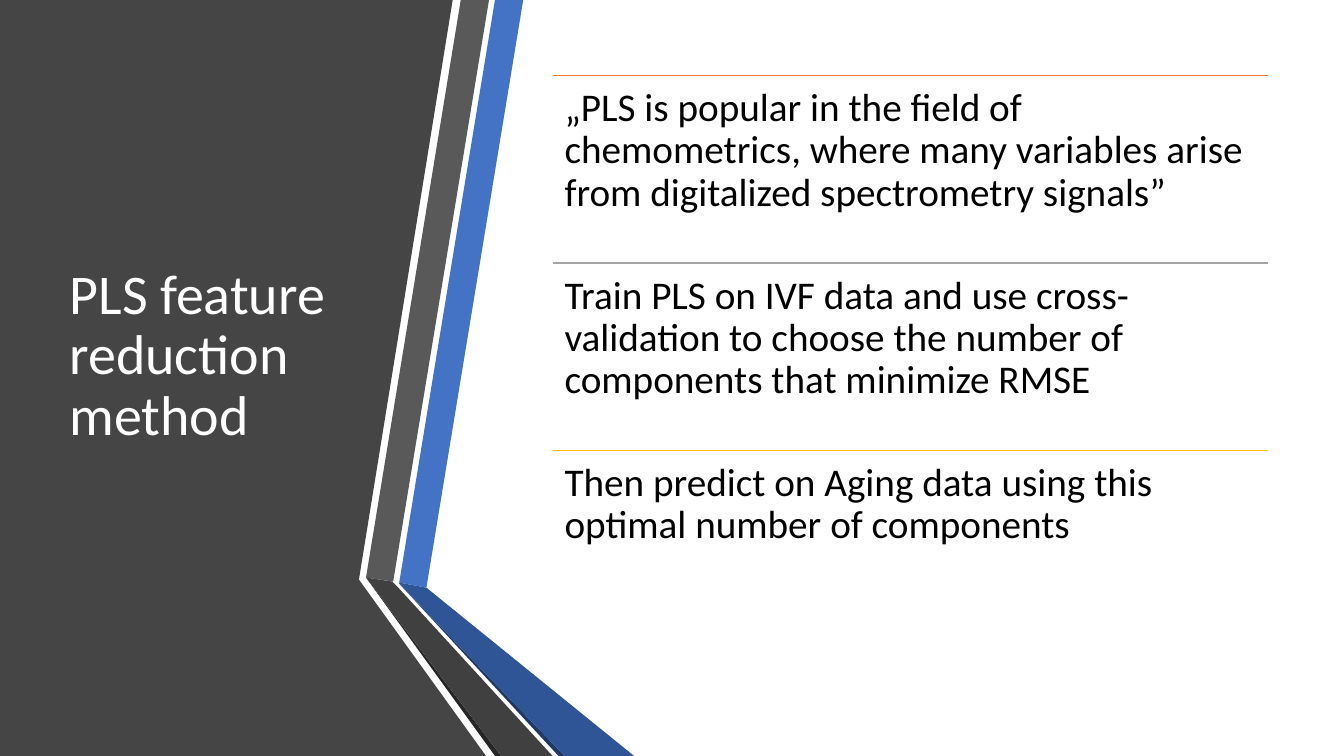
from lxml import etree
from pptx import Presentation
from pptx.dml.color import RGBColor
from pptx.enum.shapes import MSO_CONNECTOR
from pptx.enum.text import MSO_ANCHOR, PP_ALIGN
from pptx.oxml.ns import qn
from pptx.util import Inches, Pt

COLORS = {
    "panel": "454545", "blue": "4472C4", "gray": "595959",
    "gray edge": "262626", "blue edge": "203864",
    "blue fold": "2F5597", "gray fold": "404040",
    "orange": "ED7D31", "silver": "A5A5A5", "gold": "FFC000",
    "title": "FFFFFF", "body": "000000",
}
FONT = "Calibri"
TITLE = "PLS feature reduction method"
POINTS = [
    ("orange", "„PLS is popular in the field of chemometrics, where many "
               "variables arise from digitalized spectrometry signals”"),
    ("silver", "Train PLS on IVF data and use cross-validation to choose "
               "the number of components that minimize RMSE"),
    ("gold", "Then predict on Aging data using this optimal number of components"),
]

WIDTH, HEIGHT = 13.33, 7.5
TOP = HEIGHT / 10
ROW_HEIGHT = (HEIGHT * 0.844 - TOP) / len(POINTS)
LIST_LEFT, LIST_WIDTH = 5.48, 7.1

# Corners in inches, back to front
RIBBONS = [
    ("panel", [(0, 0), (4.49, 0), (3.56, 5.75), (4.82, HEIGHT), (0, HEIGHT)]),
    ("blue", [(3.96, 5.78), (4.23, 5.83), (5.19, 0), (4.91, 0)]),
    ("gray", [(4.85, 0), (4.57, 0), (3.63, 5.73), (3.9, 5.77)]),
    ("gray edge", [(3.63, 5.73), (4.91, HEIGHT), (4.97, HEIGHT)]),
    ("blue edge", [(3.96, 5.79), (5.54, HEIGHT), (5.6, HEIGHT)]),
    ("blue fold", [(3.96, 5.79), (5.6, HEIGHT), (6.29, HEIGHT),
                   (4.23, 5.83), (3.96, 5.78)]),
    ("gray fold", [(5.48, HEIGHT), (3.95, 5.83), (3.89, 5.77),
                   (3.63, 5.73), (4.97, HEIGHT)]),
]


def rgb(name):
    """Look up a named colour."""
    return RGBColor.from_string(COLORS[name])


def place(shape, left, top, width, height):
    """Set a shape's box in inches."""
    shape.left, shape.top = Inches(left), Inches(top)
    shape.width, shape.height = Inches(width), Inches(height)


def write(frame, text, size, color, anchor):
    """Fill a text frame with one left-aligned paragraph."""
    frame.word_wrap = True
    frame.vertical_anchor = anchor
    paragraph = frame.paragraphs[0]
    paragraph.alignment = PP_ALIGN.LEFT
    paragraph.line_spacing = 0.9
    run = paragraph.add_run()
    run.text = text
    run.font.name, run.font.size = FONT, Pt(size)
    run.font.color.rgb = rgb(color)


def add_ribbon(slide, color, corners):
    """Draw a filled outline through the corners."""
    points = [(round(x * 100), round(y * 100)) for x, y in corners]
    builder = slide.shapes.build_freeform(*points[0], scale=Inches(0.01))
    builder.add_line_segments(points[1:], close=True)
    shape = builder.convert_to_shape()
    shape.shadow.inherit = False
    shape.fill.solid()
    shape.fill.fore_color.rgb = rgb(color)
    shape.line.fill.background()


def add_point(slide, row, color, text):
    """Draw one list row: a coloured rule with text below it."""
    top = TOP + row * ROW_HEIGHT
    rule = slide.shapes.add_connector(
        MSO_CONNECTOR.STRAIGHT, Inches(LIST_LEFT), Inches(top),
        Inches(LIST_LEFT + LIST_WIDTH), Inches(top))
    rule.line.color.rgb = rgb(color)
    rule.line.width = Pt(1)
    etree.SubElement(rule._element.spPr, qn("a:effectLst"))

    box = slide.shapes.add_textbox(0, 0, 0, 0)
    place(box, LIST_LEFT, top, LIST_WIDTH, ROW_HEIGHT)
    frame = box.text_frame
    frame.margin_left = frame.margin_right = Inches(0.12)
    frame.margin_top = frame.margin_bottom = Inches(0.12)
    write(frame, text, 28, "body", MSO_ANCHOR.TOP)


prs = Presentation()
prs.slide_width, prs.slide_height = Inches(WIDTH), Inches(HEIGHT)
slide = prs.slides.add_slide(prs.slide_layouts[5])

for color, corners in RIBBONS:
    add_ribbon(slide, color, corners)

title = slide.shapes.title
place(title, 0.59, TOP, 3.04, ROW_HEIGHT * len(POINTS))
write(title.text_frame, TITLE, 40, "title", MSO_ANCHOR.MIDDLE)
slide.shapes._spTree.append(title._element)  # bring in front of the panel

for row, (color, text) in enumerate(POINTS):
    add_point(slide, row, color, text)

prs.save("out.pptx")
